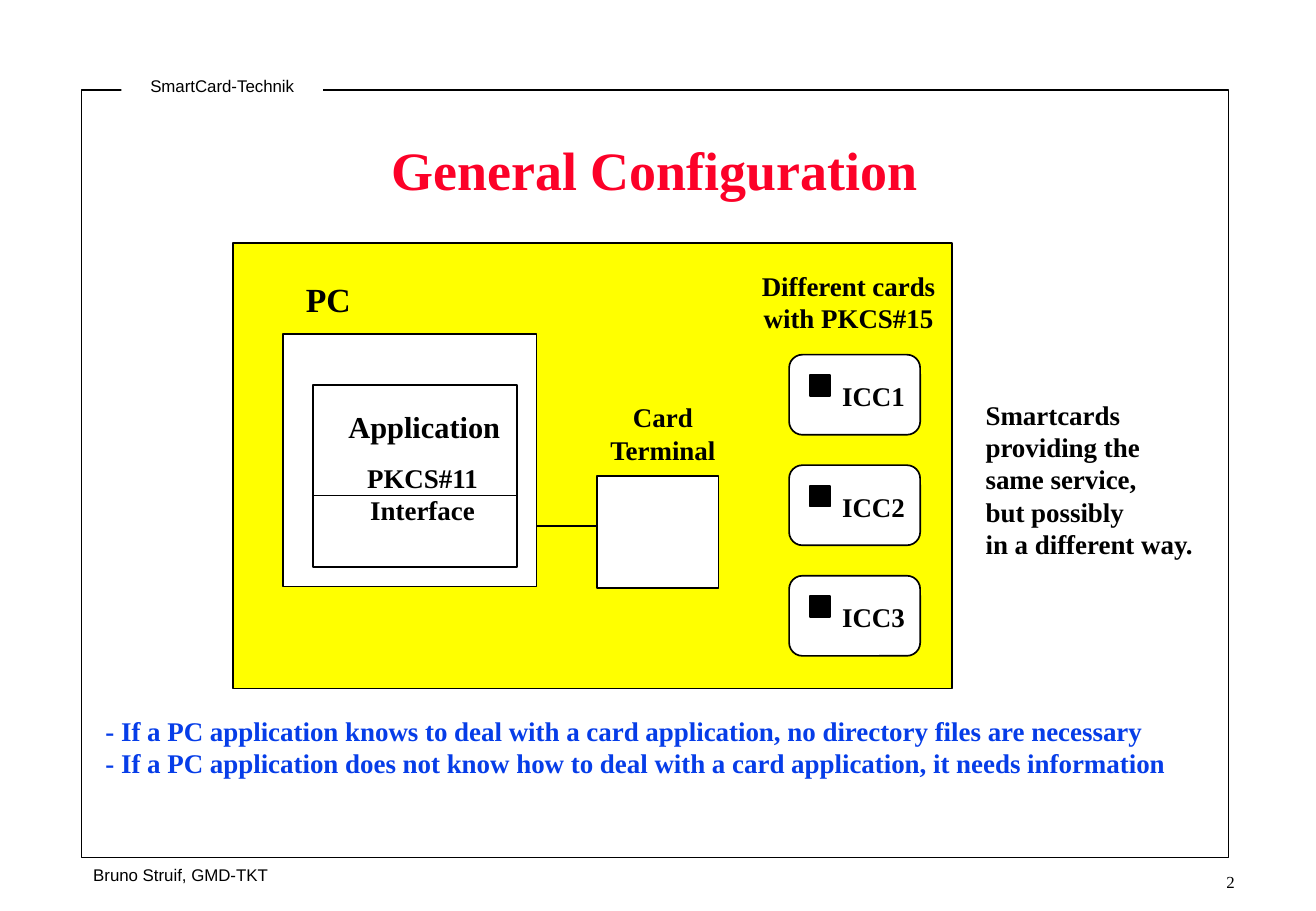
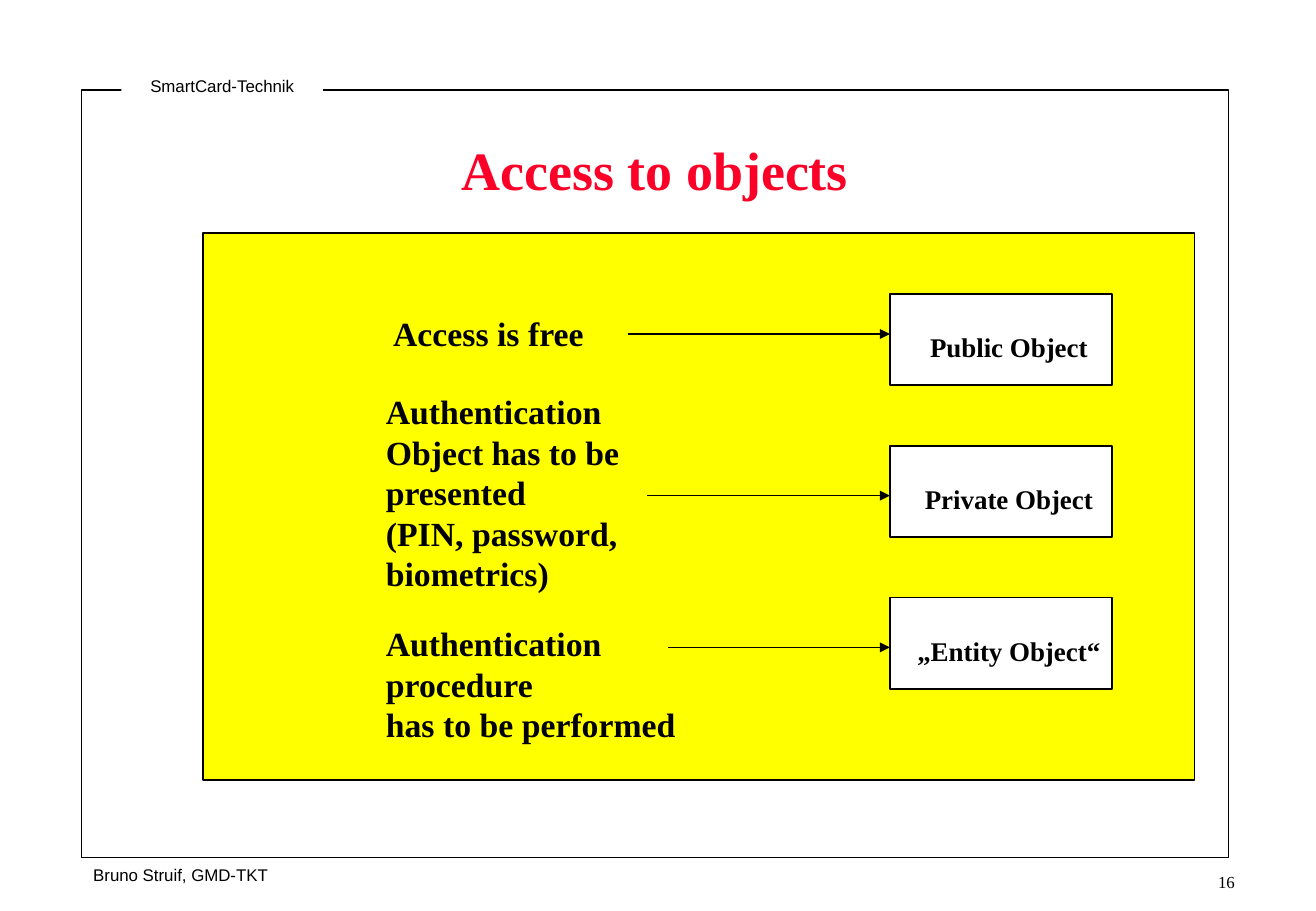
"""Build two smart card slides with a shared frame, title and footer."""
from dataclasses import dataclass

from lxml import etree
from pptx import Presentation
from pptx import util as u
from pptx.dml.color import RGBColor
from pptx.enum import shapes, text
from pptx.oxml.ns import qn

LEFT, CENTER, RIGHT = text.PP_ALIGN.LEFT, text.PP_ALIGN.CENTER, text.PP_ALIGN.RIGHT
RECT = shapes.MSO_SHAPE.RECTANGLE
CARD = shapes.MSO_SHAPE.FLOWCHART_ALTERNATE_PROCESS
TOP, MIDDLE = text.MSO_ANCHOR.TOP, text.MSO_ANCHOR.MIDDLE


@dataclass(frozen=True)
class Theme:
    """Colours, fonts and type sizes of the deck."""
    ink: str = "000000"
    paper: str = "FFFFFF"
    panel: str = "FFFF00"
    title: str = "FC0128"
    note: str = "063DE8"
    serif: str = "Times New Roman"
    sans: str = "Arial"
    small: int = 10
    body: int = 16
    label: int = 18
    large: int = 20
    heading: int = 32


T = Theme()


def inches(*values):
    """Convert numbers to lengths."""
    return [u.Inches(v) for v in values]


def write(tf, lines, size, color=T.ink, font=T.serif, bold=True, align=CENTER):
    """Write one paragraph per line."""
    for i, line in enumerate(lines):
        p = tf.add_paragraph() if i else tf.paragraphs[0]
        p.alignment = align
        r = p.add_run()
        r.text = line
        r.font.size = u.Pt(size)
        r.font.name = font
        r.font.bold = bold
        r.font.color.rgb = RGBColor.from_string(color)


def add_text(s, box, lines, size=T.body, anchor=TOP, **style):
    """Add an unwrapped text box."""
    tf = s.shapes.add_textbox(*inches(*box)).text_frame
    tf.word_wrap = False
    tf.auto_size = text.MSO_AUTO_SIZE.SHAPE_TO_FIT_TEXT
    tf.vertical_anchor = anchor
    write(tf, lines, size, **style)


def add_box(s, box, fill=T.paper, line=T.ink, kind=RECT):
    """Add a preset shape; None leaves out its fill or line."""
    sp = s.shapes.add_shape(kind, *inches(*box))
    sp.shadow.inherit = False
    if fill:
        sp.fill.solid()
        sp.fill.fore_color.rgb = RGBColor.from_string(fill)
    else:
        sp.fill.background()
    if line:
        sp.line.color.rgb = RGBColor.from_string(line)
        sp.line.width = u.Pt(1)
    else:
        sp.line.fill.background()
    return sp


def add_label(sp, label, left, top):
    """Write a label inside a shape, inset from its left and top."""
    tf = sp.text_frame
    tf.word_wrap = False
    tf.vertical_anchor = MIDDLE
    tf.margin_left, tf.margin_top = inches(left, top)
    write(tf, [label], T.body)


def add_line(s, x1, y1, x2, y2, arrow=False):
    """Add a straight line, with an arrowhead at its end if asked."""
    c = s.shapes.add_connector(shapes.MSO_CONNECTOR.STRAIGHT, *inches(x1, y1, x2, y2))
    c.line.color.rgb = RGBColor.from_string(T.ink)
    c.line.width = u.Pt(1)
    if arrow:
        etree.SubElement(c.line._get_or_add_ln(), qn("a:tailEnd"), type="triangle")
    etree.SubElement(c._element.spPr, qn("a:effectLst"))


def add_frame(s, x, y, w, h, number):
    """Draw the page frame with its header tab, author and page number."""
    add_box(s, (x, y, w, h), fill=None)
    plain = dict(size=T.small, bold=False, anchor=MIDDLE)
    add_text(s, (x, y + h + 0.01, 1.64, 0.26), ["Bruno Struif, GMD-TKT"],
             font=T.sans, align=LEFT, **plain)
    add_text(s, (x + w - 0.63, y + h + 0.07, 0.78, 0.26), [str(number)],
             align=RIGHT, **plain)
    tab = (x + 0.33, y - 0.16, 1.66, 0.26)
    add_box(s, tab, line=None)
    add_text(s, tab, ["SmartCard-Technik"], font=T.sans, **plain)


def new_slide(prs, title, number):
    """Add a titled slide with the shared frame."""
    s = prs.slides.add_slide(prs.slide_layouts[5])
    add_frame(s, 0.67, 0.74, 9.45, 6.32, number)
    sp = s.shapes.title
    sp.left, sp.top, sp.width, sp.height = inches(1.04, 0.86, 8.71, 1.06)
    sp.text_frame.vertical_anchor = MIDDLE
    write(sp.text_frame, [title], T.heading, T.title)
    return s


def add_pc(s, x, y, w, h):
    """Draw the PC with its application and interface."""
    add_text(s, (x + 0.09, y - 0.5, 0.57, 0.44), ["PC"], T.large)
    add_box(s, (x, y, w, h))
    ax, ay, aw = x + 0.25, y + 0.42, w - 0.41
    add_box(s, (ax, ay, aw, 1.5))
    add_line(s, ax, ay + 0.91, ax + aw, ay + 0.91)
    add_text(s, (ax + 0.19, ay + 0.14, 1.45, 0.4), ["Application"], T.label)
    add_text(s, (ax + 0.34, ay + 0.58, 1.12, 0.64), ["PKCS#11", "Interface"])


def add_terminal(s, x, y, w, h):
    """Draw the card terminal and its link to the PC."""
    add_box(s, (x, y, w, h))
    add_line(s, x - 0.5, y + 0.41, x, y + 0.41)
    add_text(s, (x, y - 0.67, 1.08, 0.64), ["Card", "Terminal"])


def add_cards(s, x, y, w, h, names):
    """Draw a column of chip cards under a heading."""
    add_text(s, (x - 0.33, y - 0.75, 1.64, 0.64), ["Different cards", "with PKCS#15"])
    for i, name in enumerate(names):
        card = s.shapes.add_group_shape()
        top = y + i * (h + 0.25)
        add_label(add_box(card, (x, top, w, h), kind=CARD), name, 0.41, 0.07)
        add_box(card, (x + 0.17, top + 0.17, 0.17, 0.17), fill=T.ink)


def configuration(s, x, y, w, h):
    """Draw the configuration panel and the remarks around it."""
    add_box(s, (x, y, w, h), fill=T.panel)
    add_pc(s, x + 0.41, y + 0.75, 2.09, 2.08)
    add_terminal(s, x + 3, y + 1.92, 1, 0.92)
    add_cards(s, x + 4.58, y + 0.92, 1.08, 0.66, ["ICC1", "ICC2", "ICC3"])
    add_text(s, (x + w + 0.18, y + 1.23, 1.95, 1.44),
             ["Smartcards", "providing the", "same service,", "but possibly",
              "in a different way."], align=LEFT)
    add_text(s, (x - 1.15, y + h + 0.16, 8.95, 0.64),
             ["- If a PC application knows to deal with a card application, "
              "no directory files are necessary",
              "- If a PC application does not know how to deal with a card "
              "application, it needs information"], color=T.note, align=LEFT)


def access(s, x, y, w, h):
    """Draw the panel that maps access conditions to objects."""
    add_box(s, (x, y, w, h), fill=T.panel)
    rows = [
        ("Public Object", ["Access is free"], (1.47, 0.61, 1.8, 0.44), 3.5, 0.83),
        ("Private Object",
         ["Authentication", "Object has to be", "presented", "(PIN, password,",
          "biometrics)"], (1.41, 1.25, 2.2, 1.77), 3.66, 2.16),
        ("„Entity Object“",
         ["Authentication", "procedure", "has to be performed"],
         (1.41, 3.16, 2.65, 1.1), 3.83, 3.41),
    ]
    ox = x + 5.66
    for i, (name, lines, (tx, ty, tw, th), start, level) in enumerate(rows):
        sp = add_box(s, (ox, y + 0.5 + 1.25 * i, 1.83, 0.75))
        add_label(sp, name, 0.23, 0.17)
        add_line(s, x + start, y + level, ox, y + level, arrow=True)
        add_text(s, (x + tx, y + ty, tw, th), lines, T.large, align=LEFT)


def main():
    """Build and save the deck."""
    prs = Presentation()
    prs.slide_width, prs.slide_height = inches(10.84, 7.5)
    configuration(new_slide(prs, "General Configuration", 2), 1.92, 2, 5.92, 3.67)
    access(new_slide(prs, "Access to objects", 16), 1.67, 1.92, 8.17, 4.5)
    prs.save("out.pptx")


if __name__ == "__main__":
    main()
